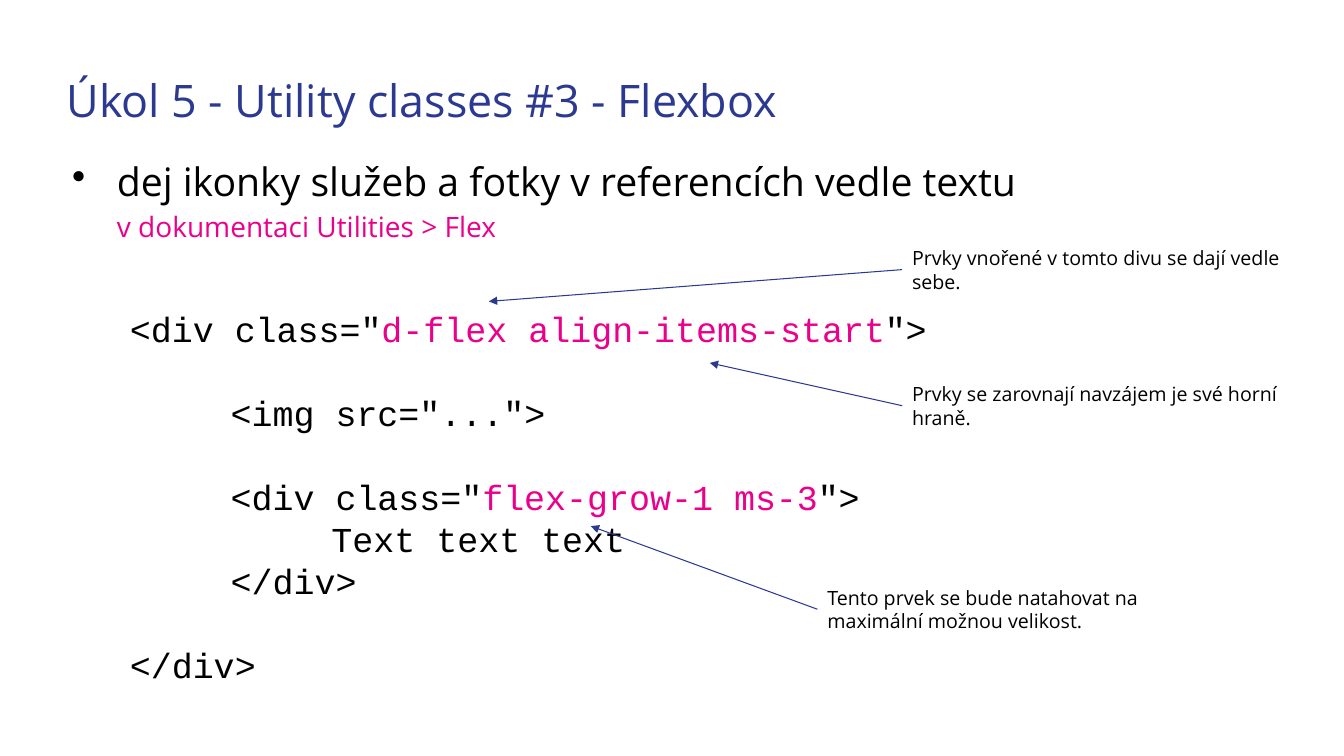
from lxml import etree
from pptx import Presentation
from pptx.dml.color import RGBColor
from pptx.enum import shapes, text
from pptx.oxml.ns import qn
from pptx.util import Pt

NAVY, PINK, BLACK = "2B3990", "EB008B", "000000"


def rgb(value):
    return RGBColor.from_string(value)


def write(p, content, size=14, font="Open Sans", color=BLACK):
    r = p.add_run()
    r.text = content
    r.font.size = Pt(size)
    r.font.name = font
    r.font.color.rgb = rgb(color)


prs = Presentation()
prs.slide_width, prs.slide_height = Pt(960), Pt(540)
s = prs.slides.add_slide(prs.slide_layouts[6])

# Text boxes: left, top, width, height, inset
boxes = {
    "title": (47.5, 46, 865, 47.5, 0),
    "task": (47.5, 107.3, 865, 91.5, 0),
    "code": (85.7, 212.4, 710.6, 287.3, 7.2),
    "note_row": (644.4, 168.5, 283.7, 48.2, 7.2),
    "note_grow": (583.9, 411.1, 283.7, 48.2, 7.2),
    "note_align": (644.4, 265.7, 283.7, 48.2, 7.2),
}
sp = {}
for name, (left, top, width, height, inset) in boxes.items():
    sp[name] = s.shapes.add_textbox(Pt(left), Pt(top), Pt(width), Pt(height))
    tf = sp[name].text_frame
    tf.word_wrap = True
    tf.vertical_anchor = text.MSO_ANCHOR.TOP
    tf.margin_left = tf.margin_top = tf.margin_right = tf.margin_bottom = Pt(inset)

# Title
p = sp["title"].text_frame.paragraphs[0]
p.line_spacing = 1.15
write(p, "Úkol 5 - Utility classes #3 - Flexbox", size=32, color=NAVY)

# Task with bullet
p = sp["task"].text_frame.paragraphs[0]
pPr = p._p.get_or_add_pPr()
pPr.set("marL", str(Pt(36)))
pPr.set("indent", str(-Pt(32)))
bullet_color = etree.SubElement(pPr, qn("a:buClr"))
etree.SubElement(bullet_color, qn("a:srgbClr"), val=BLACK)
etree.SubElement(pPr, qn("a:buChar"), char="•")
p.line_spacing = 1.15
write(p, "dej ikonky služeb a fotky v referencích vedle textu", size=28)
p.add_line_break()
write(p, "v dokumentaci Utilities > Flex", size=20, color=PINK)

# Code: indent level, space before, parts (every second part is highlighted)
code = [
    (0, 0, ['<div class="', "d-flex align-items-start", '">']),
    (1, 30, ['<img src="...">']),
    (1, 30, ['<div class="', "flex-grow-1 ms-3", '">']),
    (2, 0, ["Text text text"]),
    (1, 0, ["</div>"]),
    (0, 30, ["</div>"]),
]
tf = sp["code"].text_frame
for i, (level, gap, parts) in enumerate(code):
    p = tf.add_paragraph() if i else tf.paragraphs[0]
    p._p.get_or_add_pPr().set("marL", str(Pt(72 * level)))
    p.space_before = Pt(gap)
    for j, part in enumerate(parts):
        write(p, part, size=25, font="Courier New", color=PINK if j % 2 else BLACK)

# Notes, each with an arrow to the class it explains
notes = [
    ("note_row", "Prvky vnořené v tomto divu se dají vedle sebe.", 349.2, 215.3),
    ("note_grow", "Tento prvek se bude natahovat na maximální možnou velikost.", 422, 375.8),
    ("note_align", "Prvky se zarovnají navzájem je své horní hraně.", 507, 259.2),
]
for name, note, x, y in notes:
    write(sp[name].text_frame.paragraphs[0], note)
    arrow = s.shapes.add_connector(shapes.MSO_CONNECTOR.STRAIGHT, 0, 0, Pt(x), Pt(y))
    arrow.begin_connect(sp[name], 1)
    arrow.line.color.rgb = rgb(NAVY)
    arrow.line.width = Pt(0.75)
    etree.SubElement(arrow.line._get_or_add_ln(), qn("a:tailEnd"), type="triangle")
    etree.SubElement(arrow._element.spPr, qn("a:effectLst"))

prs.save("out.pptx")
